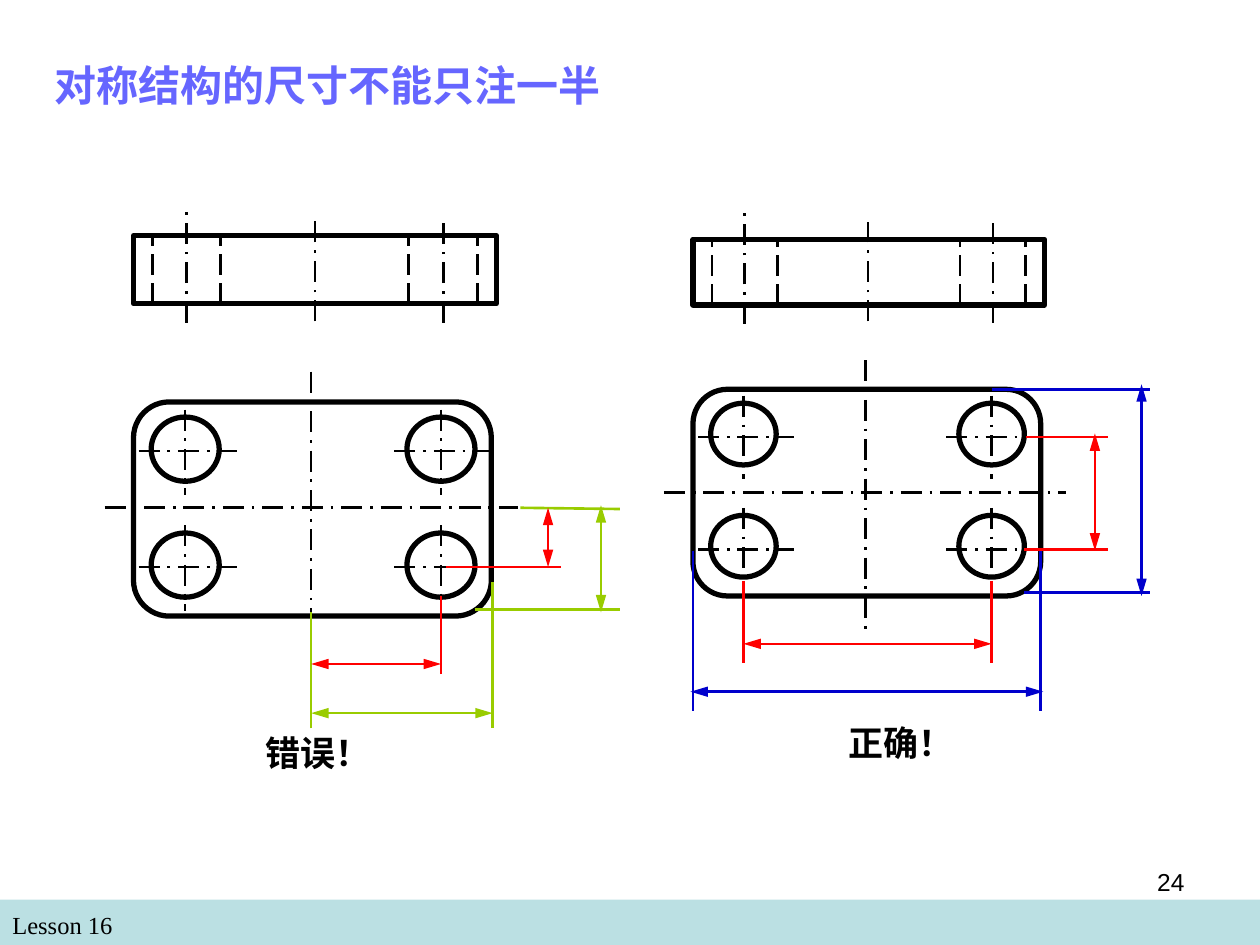
"""Build a slide contrasting wrong and right dimensioning of a symmetric plate."""
from dataclasses import dataclass
from itertools import product

from lxml import etree
from pptx import Presentation
from pptx.dml.color import RGBColor
from pptx.enum.dml import MSO_LINE
from pptx.enum.shapes import MSO_CONNECTOR, MSO_SHAPE
from pptx.enum.text import MSO_ANCHOR, MSO_AUTO_SIZE, PP_ALIGN
from pptx.oxml.ns import qn
from pptx.util import Inches, Pt

RECTANGLE = MSO_SHAPE.RECTANGLE
ROUNDED = MSO_SHAPE.ROUNDED_RECTANGLE
OVAL = MSO_SHAPE.OVAL
STRAIGHT = MSO_CONNECTOR.STRAIGHT
CENTER_LINE = MSO_LINE.LONG_DASH_DOT
HIDDEN_LINE = MSO_LINE.LONG_DASH
LEFT, CENTER, RIGHT = PP_ALIGN.LEFT, PP_ALIGN.CENTER, PP_ALIGN.RIGHT
TOP, MIDDLE = MSO_ANCHOR.TOP, MSO_ANCHOR.MIDDLE
NO_AUTOFIT = MSO_AUTO_SIZE.NONE

COLORS = {
    "black": "000000",
    "red": "FF0000",
    "green": "99CC00",
    "blue": "0000CC",
    "title": "6666FF",
    "footer": "BBE0E3",
}
CHINESE_FONT = "Noto Sans CJK SC"
Box = tuple[float, float, float, float]


@dataclass
class Line:
    x1: float
    y1: float
    x2: float
    y2: float
    color: str = "black"
    dash: MSO_LINE | None = None
    arrows: bool = False


@dataclass
class Drawing:
    side_view: Box
    hidden_edges: list[float]
    plate: Box
    hole_lefts: list[float]
    hole_tops: list[float]
    hole_size: tuple[float, float]
    center_lines: list[Box]
    dimensions: list[Line]
    caption: str
    caption_box: Box


WRONG = Drawing(
    side_view=(1.06, 1.87, 2.88, 0.54),
    hidden_edges=[1.21, 1.75, 3.24, 3.79],
    plate=(1.06, 3.19, 2.84, 1.7),
    hole_lefts=[1.2, 3.23],
    hole_tops=[3.31, 4.23],
    hole_size=(0.54, 0.51),
    center_lines=[
        (1.48, 2.56, 1.48, 1.63),
        (2.5, 2.55, 2.5, 1.74),
        (3.52, 2.56, 3.52, 1.71),
        (0.83, 4.03, 4.11, 4.03),
        (2.47, 2.95, 2.47, 5.16),
    ],
    dimensions=[
        Line(2.47, 5.78, 2.47, 4.86, "green"),
        Line(3.5, 5.35, 3.5, 4.73, "red"),
        Line(2.47, 5.27, 3.5, 5.27, "red", arrows=True),
        Line(3.54, 4.5, 4.45, 4.5, "red"),
        Line(4.77, 4.01, 4.77, 4.86, "green", arrows=True),
        Line(3.77, 4.84, 4.92, 4.84, "green"),
        Line(4.13, 4.03, 4.92, 4.04, "green"),
        Line(4.35, 4.03, 4.35, 4.5, "red", arrows=True),
        Line(3.91, 4.62, 3.91, 5.78, "green"),
        Line(2.47, 5.66, 3.91, 5.66, "green", arrows=True),
    ],
    caption="错误！",
    caption_box=(2.01, 5.75, 1.03, 0.44),
)

CORRECT = Drawing(
    side_view=(5.5, 1.9, 2.79, 0.52),
    hidden_edges=[5.65, 6.17, 7.62, 8.14],
    plate=(5.5, 3.09, 2.76, 1.64),
    hole_lefts=[5.64, 7.61],
    hole_tops=[3.2, 4.09],
    hole_size=(0.52, 0.49),
    center_lines=[
        (5.91, 2.57, 5.91, 1.66),
        (6.89, 2.55, 6.89, 1.76),
        (7.88, 2.56, 7.88, 1.74),
        (5.27, 3.91, 8.46, 3.91),
        (6.87, 2.86, 6.87, 5),
    ],
    dimensions=[
        Line(5.9, 5.11, 7.87, 5.11, "red", arrows=True),
        Line(8.69, 3.44, 8.69, 4.37, "red", arrows=True),
        Line(7.87, 4.61, 7.87, 5.26, "red"),
        Line(5.5, 4.37, 5.5, 5.64, "blue"),
        Line(8.26, 4.37, 8.26, 5.64, "blue"),
        Line(5.48, 5.49, 8.28, 5.49, "blue", arrows=True),
        Line(5.9, 4.61, 5.9, 5.26, "red"),
        Line(7.87, 3.09, 9.13, 3.09, "blue"),
        Line(8.13, 4.7, 9.13, 4.7, "blue"),
        Line(9.06, 3.05, 9.06, 4.73, "blue", arrows=True),
        Line(8.14, 3.47, 8.79, 3.47, "red"),
        Line(8.13, 4.36, 8.79, 4.36, "red"),
    ],
    caption="正确！",
    caption_box=(6.64, 5.67, 1.03, 0.44),
)


def rgb(name: str) -> RGBColor:
    return RGBColor.from_string(COLORS[name])


def write_text(shape, text: str, *, box: Box, size: float, font: str, color: str = "black",
               bold: bool = False, align: PP_ALIGN = LEFT, anchor: MSO_ANCHOR = TOP,
               wrap: bool = True) -> None:
    shape.left, shape.top, shape.width, shape.height = map(Inches, box)
    frame = shape.text_frame
    frame.auto_size = NO_AUTOFIT
    frame.word_wrap = wrap
    frame.vertical_anchor = anchor
    paragraph = frame.paragraphs[0]
    paragraph.alignment = align
    run = paragraph.add_run()
    run.text = text
    run.font.name = font
    run.font.size = Pt(size)
    run.font.bold = bold
    run.font.color.rgb = rgb(color)
    latin = run.font._element.find(qn("a:latin"))
    east_asian = etree.Element(qn("a:ea"), typeface=CHINESE_FONT)
    latin.addnext(east_asian)


def add_outline(slide, kind: MSO_SHAPE, box: Box):
    shape = slide.shapes.add_shape(kind, *map(Inches, box))
    shape.shadow.inherit = False
    shape.fill.background()
    shape.line.color.rgb = rgb("black")
    shape.line.width = Pt(3)
    return shape


def add_line(slide, line: Line) -> None:
    ends = map(Inches, (line.x1, line.y1, line.x2, line.y2))
    connector = slide.shapes.add_connector(STRAIGHT, *ends)
    connector.line.color.rgb = rgb(line.color)
    connector.line.width = Pt(1.5)
    if line.dash is not None:
        connector.line.dash_style = line.dash
    properties = connector._element.spPr
    if line.arrows:
        for end in ("a:headEnd", "a:tailEnd"):
            etree.SubElement(properties.find(qn("a:ln")), qn(end), type="triangle", w="med", len="lg")
    etree.SubElement(properties, qn("a:effectLst"))


def add_hole(slide, left: float, top: float, width: float, height: float) -> None:
    add_outline(slide, OVAL, (left, top, width, height))
    middle_x, middle_y = left + width / 2, top + 0.27
    add_line(slide, Line(left - 0.1, middle_y, left + width + 0.14, middle_y, dash=CENTER_LINE))
    add_line(slide, Line(middle_x, top - 0.06, middle_x, top + height + 0.11, dash=CENTER_LINE))


def add_drawing(slide, drawing: Drawing) -> None:
    add_outline(slide, RECTANGLE, drawing.side_view)
    _, top, _, height = drawing.side_view
    for x in drawing.hidden_edges:
        add_line(slide, Line(x, top + height, x, top, dash=HIDDEN_LINE))
    add_outline(slide, ROUNDED, drawing.plate).adjustments[0] = 0.167
    for left, hole_top in product(drawing.hole_lefts, drawing.hole_tops):
        add_hole(slide, left, hole_top, *drawing.hole_size)
    for ends in drawing.center_lines:
        add_line(slide, Line(*ends, dash=CENTER_LINE))
    for dimension in drawing.dimensions:
        add_line(slide, dimension)
    write_text(slide.shapes.add_textbox(0, 0, 0, 0), drawing.caption, box=drawing.caption_box,
               size=20, font="Lato", bold=True, align=CENTER, anchor=MIDDLE, wrap=False)


def main() -> None:
    presentation = Presentation()
    presentation.slide_width, presentation.slide_height = Inches(10), Inches(7.5)
    slide = presentation.slides.add_slide(presentation.slide_layouts[5])
    write_text(slide.shapes.title, "对称结构的尺寸不能只注一半", box=(0.33, 0.42, 8.19, 0.5),
               size=24, font=CHINESE_FONT, color="title", bold=True, anchor=MIDDLE)
    footer = add_outline(slide, RECTANGLE, (0, 7.14, 10, 0.36))
    footer.fill.solid()
    footer.fill.fore_color.rgb = rgb("footer")
    footer.line.fill.background()
    write_text(slide.shapes.add_textbox(0, 0, 0, 0), "Lesson 16", box=(0, 7.17, 4.83, 0.34),
               size=14, font="Times New Roman")
    for drawing in (WRONG, CORRECT):
        add_drawing(slide, drawing)
    write_text(slide.shapes.add_textbox(0, 0, 0, 0), "24", box=(7.17, 6.83, 2.33, 0.52),
               size=14, font="Arial", align=RIGHT)
    presentation.save("out.pptx")


if __name__ == "__main__":
    main()
